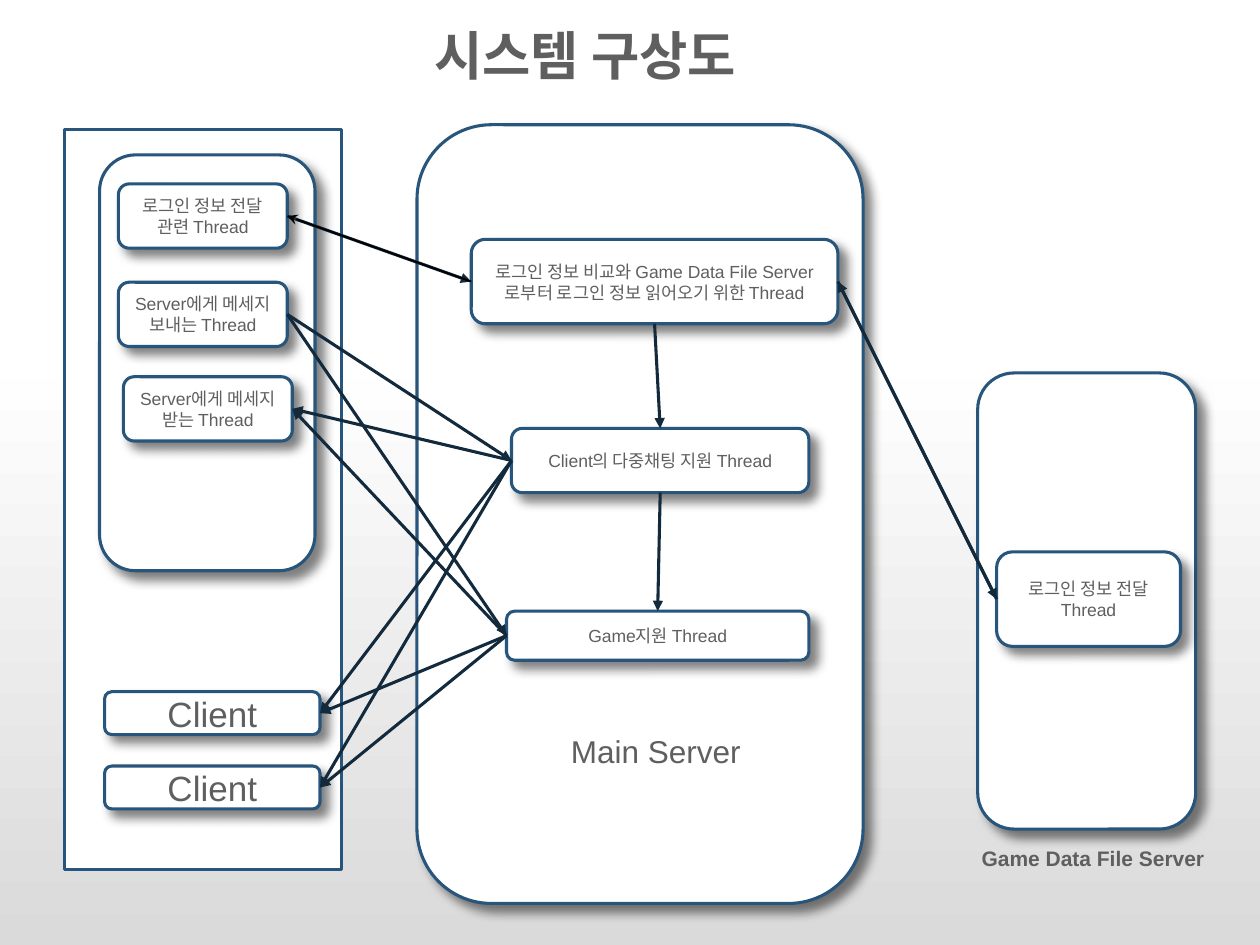
from collections import namedtuple
from copy import deepcopy

from lxml.etree import SubElement
from pptx import Presentation
from pptx.dml.color import RGBColor
from pptx.enum.shapes import MSO_CONNECTOR as Connector, MSO_SHAPE as Shape
from pptx.enum.text import MSO_ANCHOR as Anchor, MSO_AUTO_SIZE as AutoSize, PP_ALIGN as Align
from pptx.oxml.ns import qn
from pptx.util import Inches, Pt

COLORS = {
    "text": "5F5F5F", "panel": "FFFFFF", "border": "27557B",
    "arrow": "132A3D", "black": "000000",
}
BACKGROUND = [(0, "FFFFFF"), (0.4, "FEFEFE"), (1, "DADADA")]
COLUMNS, ROWS = 100, 75
CELL = Inches(10) // COLUMNS
TOP, LEFT, BOTTOM, RIGHT = range(4)  # connection sites

# A box is measured in columns and rows of the slide grid
Box = namedtuple("Box", "left top width height")


def inside(region, left, top, width, height):
    return Box(region.left + left, region.top + top, width, height)


def place(box):
    return [round(length * CELL) for length in box]


def rgb(name):
    return RGBColor.from_string(COLORS[name])


def write_text(frame, text, size=10, bold=False, anchor=Anchor.MIDDLE):
    frame.word_wrap = True
    frame.vertical_anchor = anchor
    paragraph = frame.paragraphs[0]
    paragraph.alignment = Align.CENTER
    run = paragraph.add_run()
    run.text = text
    run.font.name = "Arial"
    run.font.size = Pt(size)
    run.font.bold = bold
    run.font.color.rgb = rgb("text")


def add_label(slide, box, text, **style):
    label = slide.shapes.add_textbox(*place(box))
    write_text(label.text_frame, text, anchor=Anchor.TOP, **style)
    label.text_frame.auto_size = AutoSize.SHAPE_TO_FIT_TEXT


def add_shadow(shape):
    effects = shape.element.spPr.find(qn("a:effectLst"))
    shadow = SubElement(effects, qn("a:outerShdw"), blurRad=str(Pt(6)),
                        dist=str(Pt(6)), dir="2700000", algn="tl", rotWithShape="0")
    color = SubElement(shadow, qn("a:srgbClr"), val=COLORS["black"])
    SubElement(color, qn("a:alpha"), val="50000")


def add_panel(slide, box, text=None, kind=Shape.FLOWCHART_ALTERNATE_PROCESS,
              shadow=True, **style):
    panel = slide.shapes.add_shape(kind, *place(box))
    panel.shadow.inherit = False
    panel.fill.solid()
    panel.fill.fore_color.rgb = rgb("panel")
    panel.line.color.rgb = rgb("border")
    panel.line.width = Pt(1.75)
    if shadow:
        add_shadow(panel)
    if text:
        write_text(panel.text_frame, text, **style)
    return panel


def add_arrow(slide, start, start_site, end, end_site,
              color="arrow", width=1.75, head="triangle"):
    arrow = slide.shapes.add_connector(Connector.STRAIGHT, 0, 0, 0, 0)
    arrow.begin_connect(start, start_site)
    arrow.end_connect(end, end_site)
    arrow.line.color.rgb = rgb(color)
    arrow.line.width = Pt(width)
    SubElement(arrow.line._get_or_add_ln(), qn("a:tailEnd"), type=head)
    SubElement(arrow.element.spPr, qn("a:effectLst"))


def fill_background(slide):
    fill = slide.background.fill
    fill.gradient()
    fill.gradient_angle = 270
    stops = next(slide.element.iter(qn("a:gsLst")))
    stops.append(deepcopy(stops[0]))
    for stop, (position, color) in zip(fill.gradient_stops, BACKGROUND):
        stop.position = position
        stop.color.rgb = RGBColor.from_string(color)


def main_server(slide, region):
    add_panel(slide, region)
    login = add_panel(slide, inside(region, 4.3, 9.1, 29.1, 6.7),
                      "로그인 정보 비교와 Game Data File Server로부터 로그인 정보 읽어오기 위한 Thread")
    chat = add_panel(slide, inside(region, 7.5, 24.1, 23.6, 5.1), "Client의 다중채팅 지원 Thread")
    game = add_panel(slide, inside(region, 7.1, 38.6, 24, 3.9), "Game지원 Thread")
    add_label(slide, inside(region, 8.2, 47.7, 21.5, 4), "Main Server", size=18)
    return login, chat, game


def client_side(slide, region):
    add_panel(slide, region, kind=Shape.RECTANGLE, shadow=False)
    # First client with its three threads
    add_panel(slide, inside(region, 2.8, 2, 17.1, 33))
    threads = [
        add_panel(slide, inside(region, left, top, 13.4, 5.1), text)
        for left, top, text in [
            (4.3, 4.3, "로그인 정보 전달 관련 Thread"),
            (4.3, 12.1, "Server에게 메세지 보내는 Thread"),
            (4.7, 19.6, "Server에게 메세지 받는 Thread"),
        ]
    ]
    # Further clients
    clients = [add_panel(slide, inside(region, 3.2, top, 17.1, 3.4), "Client", size=20)
               for top in (44.6, 50.5)]
    return threads, clients


def data_server(slide, region):
    add_panel(slide, region, kind=Shape.ROUNDED_RECTANGLE)
    add_label(slide, inside(region, -1.6, 37, 21.5, 2.9), "Game Data File Server",
              size=12, bold=True)
    return add_panel(slide, inside(region, 1.5, 14.2, 14.6, 7.5), "로그인 정보 전달 Thread")


def connect_all(slide, server, threads, clients, data):
    login, chat, game = server
    send_login, send_message, receive_message = threads
    # Login traffic, both ways
    add_arrow(slide, send_login, RIGHT, login, LEFT)
    add_arrow(slide, login, LEFT, send_login, RIGHT, color="black", width=1, head="stealth")
    add_arrow(slide, login, RIGHT, data, LEFT)
    add_arrow(slide, data, LEFT, login, RIGHT)
    # Steps inside the main server
    add_arrow(slide, login, BOTTOM, chat, TOP)
    add_arrow(slide, chat, BOTTOM, game, TOP)
    # Messages to and from the clients
    for service in (chat, game):
        add_arrow(slide, send_message, RIGHT, service, LEFT)
        for receiver in (receive_message, *clients):
            add_arrow(slide, service, LEFT, receiver, RIGHT)


def main():
    presentation = Presentation()
    presentation.slide_width = COLUMNS * CELL
    presentation.slide_height = ROWS * CELL
    slide = presentation.slides.add_slide(presentation.slide_layouts[6])
    fill_background(slide)
    add_label(slide, Box(5.9, 1.3, 81.1, 6.1), "시스템 구상도", size=30, bold=True)
    server = main_server(slide, Box(33.1, 9.9, 35.4, 61.8))
    threads, clients = client_side(slide, Box(5.1, 10.3, 22, 58.7))
    data = data_server(slide, Box(77.6, 29.6, 17.3, 36.2))
    connect_all(slide, server, threads, clients, data)
    presentation.save("out.pptx")


if __name__ == "__main__":
    main()
